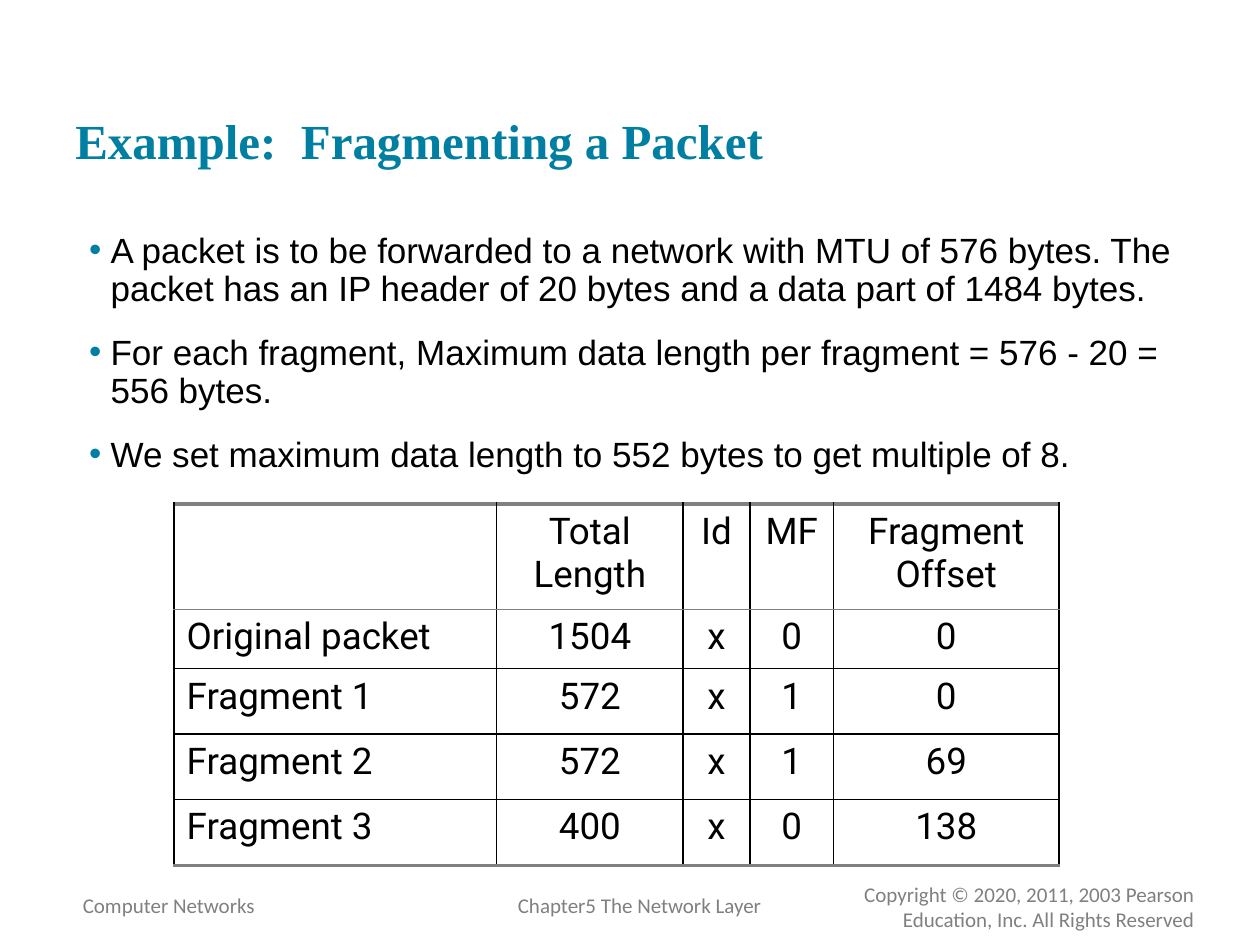
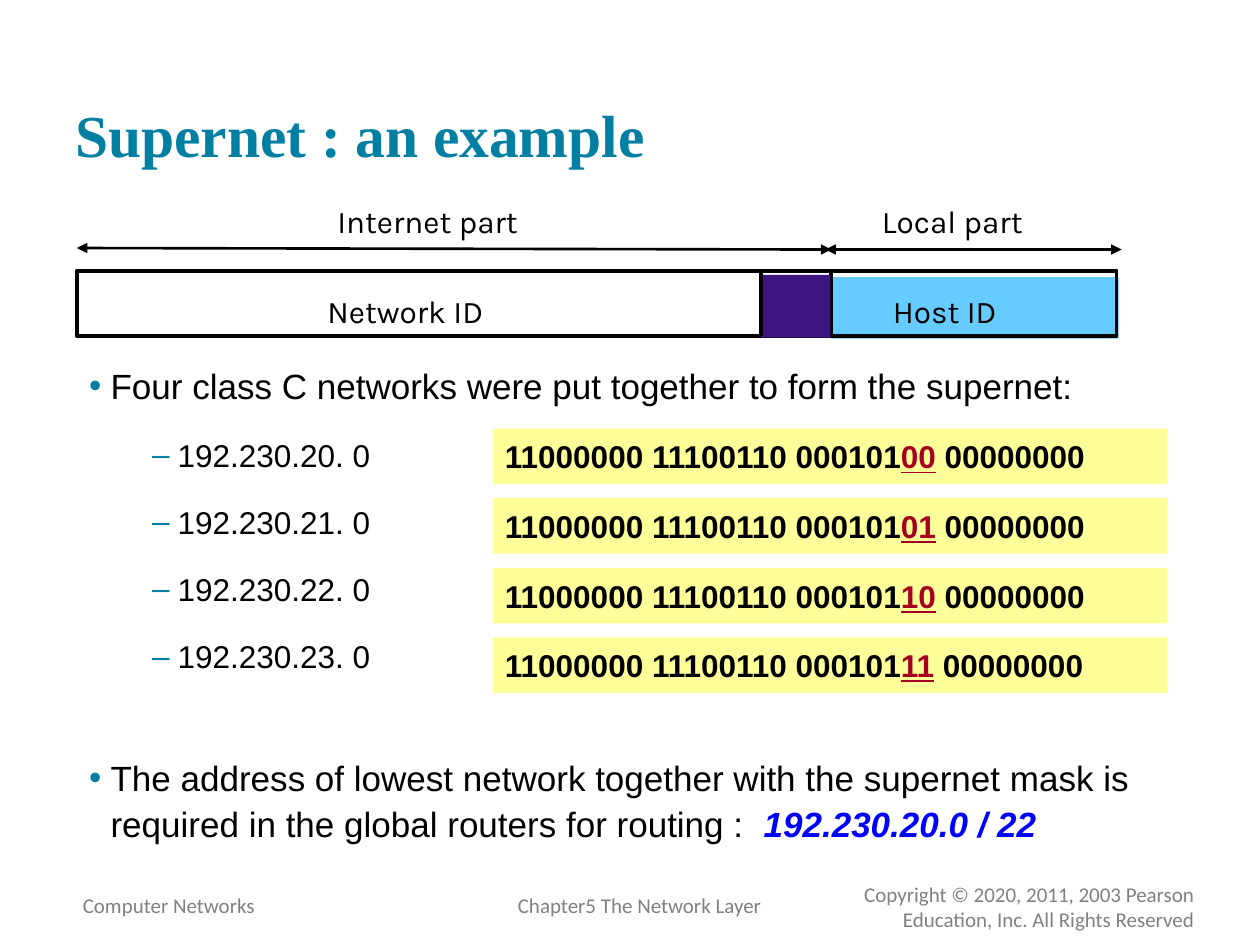
import dataclasses

import lxml.etree
import pptx
import pptx.dml.color
import pptx.enum.shapes
import pptx.enum.text
import pptx.oxml
import pptx.oxml.ns
import pptx.util

Cm = pptx.util.Cm
Pt = pptx.util.Pt
RGBColor = pptx.dml.color.RGBColor
ALIGN = pptx.enum.text.PP_ALIGN
ANCHOR = pptx.enum.text.MSO_ANCHOR
RECTANGLE = pptx.enum.shapes.MSO_SHAPE.RECTANGLE
STRAIGHT = pptx.enum.shapes.MSO_CONNECTOR.STRAIGHT
qn = pptx.oxml.ns.qn

TEAL = RGBColor(0x00, 0x7F, 0xA3)
BLACK = RGBColor(0x00, 0x00, 0x00)
GRAY = RGBColor(0x80, 0x80, 0x80)
BLUE = RGBColor(0x00, 0x00, 0xFF)
DARK_RED = RGBColor(0xA5, 0x00, 0x21)
YELLOW = RGBColor(0xFF, 0xFF, 0x99)
SKY = RGBColor(0x66, 0xCC, 0xFF)
PURPLE = RGBColor(0x3C, 0x15, 0x81)


@dataclasses.dataclass(frozen=True)
class Style:
    size: float
    font: str = "Arial"
    color: RGBColor = BLACK
    bold: bool = False
    italic: bool = False
    underline: bool = False


@dataclasses.dataclass(frozen=True)
class Bullet:
    symbol: str
    level: int
    margin: float
    indent: float
    space_before: float


TITLE = Style(28, "Times New Roman", TEAL, bold=True)
BODY = Style(20)
ADDRESS = Style(18)
ROUTE = Style(20, color=BLUE, bold=True, italic=True)
FOOTER = Style(12, "Calibri", GRAY)
CELL = Style(21, "Roboto")
LABEL = Style(18, "Karla")
BITS = Style(18, bold=True)
SUBNET_BITS = Style(18, color=DARK_RED, bold=True, underline=True)

POINT = Bullet("•", 0, 0.71, -0.43, 15)
DASH = Bullet("–", 1, 2.06, -0.51, 6)

# Boxes are (left, top, width, height) in centimetres.
TITLE_BOX = (1.27, 0.61, 22.86, 3.05)
FOOTERS = [
    ("Copyright © 2020, 2011, 2003 Pearson Education, Inc. All Rights Reserved",
     (16.28, 17.65, 8.05, 0.56), ALIGN.RIGHT, True),
    ("Computer Networks", (1.42, 17.86, 8.79, 0.76), ALIGN.LEFT, True),
    ("Chapter5 The Network Layer", (10.19, 17.86, 5.44, 0.76), ALIGN.LEFT, False),
]


def add_run(paragraph, text, style):
    run = paragraph.add_run()
    run.text = text
    font = run.font
    font.name, font.size = style.font, Pt(style.size)
    font.bold, font.italic, font.underline = style.bold, style.italic, style.underline
    font.color.rgb = style.color


def add_text_box(slide, box, inset=None, wrap=True):
    """Return the text frame of a new box; inset applies to all four sides."""
    frame = slide.shapes.add_textbox(*map(Cm, box)).text_frame
    frame.word_wrap = wrap
    if inset is not None:
        frame.margin_left = frame.margin_right = Cm(inset)
        frame.margin_top = frame.margin_bottom = Cm(inset)
    return frame


def add_label(slide, text, box, style, align=ALIGN.LEFT, wrap=True):
    paragraph = add_text_box(slide, box, wrap=wrap).paragraphs[0]
    paragraph.alignment = align
    add_run(paragraph, text, style)


def add_rectangle(slide, box, fill=None, line_width=None):
    shape = slide.shapes.add_shape(RECTANGLE, *map(Cm, box))
    shape.shadow.inherit = False
    if fill is None:
        shape.fill.background()
    else:
        shape.fill.solid()
        shape.fill.fore_color.rgb = fill
    if line_width is None:
        shape.line.fill.background()
    else:
        shape.line.color.rgb = BLACK
        shape.line.width = Pt(line_width)
    return shape


def add_line(slide, start, end, width, arrows=False):
    connector = slide.shapes.add_connector(STRAIGHT, *map(Cm, start + end))
    connector.line.color.rgb = BLACK
    connector.line.width = Pt(width)
    if arrows:
        line = connector.line._get_or_add_ln()
        for tag in ("a:headEnd", "a:tailEnd"):
            lxml.etree.SubElement(line, qn(tag), type="triangle")
    lxml.etree.SubElement(connector._element.spPr, qn("a:effectLst"))


def set_bullet(paragraph, bullet):
    paragraph.level = bullet.level
    properties = paragraph._p.get_or_add_pPr()
    properties.set("marL", str(Cm(bullet.margin)))
    properties.set("indent", str(Cm(bullet.indent)))
    color = lxml.etree.SubElement(properties, qn("a:buClr"))
    lxml.etree.SubElement(color, qn("a:srgbClr"), val=str(TEAL))
    lxml.etree.SubElement(properties, qn("a:buFont"), typeface="Arial")
    lxml.etree.SubElement(properties, qn("a:buChar"), char=bullet.symbol)


def add_bullets(slide, box, items):
    """Each item is (bullet, line spacing, space before or None, runs)."""
    frame = add_text_box(slide, box, inset=0.25)
    for index, (bullet, line_spacing, space_before, runs) in enumerate(items):
        paragraph = frame.add_paragraph() if index else frame.paragraphs[0]
        set_bullet(paragraph, bullet)
        paragraph.line_spacing = line_spacing
        if index:
            paragraph.space_before = Pt(space_before or bullet.space_before)
        for text, style in runs:
            add_run(paragraph, text, style)


def add_base_slide(presentation, title, title_style=TITLE):
    """Add a slide with the shared title and footers."""
    slide = presentation.slides.add_slide(presentation.slide_layouts[6])
    for text, box, align, wrap in FOOTERS:
        add_label(slide, text, box, FOOTER, align, wrap)
    frame = add_text_box(slide, TITLE_BOX, inset=0.25)
    frame.vertical_anchor = ANCHOR.BOTTOM
    add_run(frame.paragraphs[0], title, title_style)
    return slide


def set_borders(cell, top, bottom):
    properties = cell._tc.get_or_add_tcPr()
    side = (BLACK, 1)
    edges = (("a:lnL", side), ("a:lnR", side), ("a:lnT", top), ("a:lnB", bottom))
    for position, (tag, (color, width)) in enumerate(edges):
        line = properties.makeelement(qn(tag), {"w": str(Pt(width))})
        fill = lxml.etree.SubElement(line, qn("a:solidFill"))
        lxml.etree.SubElement(fill, qn("a:srgbClr"), val=str(color))
        properties.insert(position, line)


def add_fragment_table(slide, box):
    rows = [
        ("", "Total Length", "Id", "MF", "Fragment Offset"),
        ("Original packet", "1504", "x", "0", "0"),
        ("Fragment 1", "572", "x", "1", "0"),
        ("Fragment 2", "572", "x", "1", "69"),
        ("Fragment 3", "400", "x", "0", "138"),
    ]
    column_widths = (6.5, 3.76, 1.35, 1.68, 4.55)
    row_heights = (2.13, 1.19, 1.32, 1.32, 1.32)
    thick, thin, inner = (GRAY, 2), (GRAY, 1), (BLACK, 1)
    rules = [thick, thin, inner, inner, inner, thick]
    table = slide.shapes.add_table(
        len(rows), len(column_widths), *map(Cm, box)).table
    table.first_row = table.horz_banding = False
    for column, width in zip(table.columns, column_widths):
        column.width = Cm(width)
    for row_index, values in enumerate(rows):
        table.rows[row_index].height = Cm(row_heights[row_index])
        for column_index, value in enumerate(values):
            cell = table.cell(row_index, column_index)
            cell.fill.background()
            set_borders(cell, rules[row_index], rules[row_index + 1])
            if value:
                paragraph = cell.text_frame.paragraphs[0]
                paragraph.alignment = ALIGN.CENTER if column_index else ALIGN.LEFT
                add_run(paragraph, value, CELL)


def add_address_diagram(slide, box):
    """Bar split into network, supernet and host bits, spanned by two arrows."""
    left, top, width, height = box
    bar_height = 1.32
    bar_top = top + height - bar_height
    bottom = top + height
    supernet_left, host_left = left + 13.79, left + 15.21
    arrow_top = top + 1.09

    add_rectangle(slide, (host_left, bar_top + 0.13, 5.79, 1.24), SKY)
    add_rectangle(slide, (left, bar_top, width, bar_height), line_width=2.25)
    add_line(slide, (host_left, bar_top), (host_left, bottom), 2.25)
    add_line(slide, (host_left - 0.12, arrow_top), (left + 21.06, arrow_top), 1.5, True)
    add_line(slide, (left, arrow_top - 0.03), (host_left, arrow_top), 1.5, True)
    add_rectangle(slide, (supernet_left, bar_top + 0.08, 1.4, 1.27), PURPLE)
    add_line(slide, (supernet_left, bar_top), (supernet_left, bottom), 2.25)

    for text, x, y, label_width in (
        ("Internet part", 5, 0, 6.15),
        ("Local part", 15.98, 0, 6.48),
        ("Network ID", 4.8, 1.83, 5.41),
        ("Host ID", 16.2, 1.83, 4.39),
    ):
        add_label(slide, text, (left + x, top + y, label_width, 1.02), LABEL)


def add_binary_addresses(slide, box):
    left, top, width, height = box
    row_height = 1.12
    all_subnet_bits = ("00", "01", "10", "11")
    step = (height - row_height) / (len(all_subnet_bits) - 1)
    for index, subnet_bits in enumerate(all_subnet_bits):
        shape = add_rectangle(
            slide, (left, top + index * step, width, row_height), YELLOW)
        shape.text_frame.vertical_anchor = ANCHOR.MIDDLE
        paragraph = shape.text_frame.paragraphs[0]
        paragraph.alignment = ALIGN.LEFT
        add_run(paragraph, "11000000 11100110 000101", BITS)
        add_run(paragraph, subnet_bits, SUBNET_BITS)
        add_run(paragraph, " 00000000", BITS)


def build_fragmenting_slide(presentation):
    slide = add_base_slide(presentation, "Example:  Fragmenting a Packet")
    points = (
        "A packet is to be forwarded to a network with MTU of 576 bytes. "
        "The packet has an IP header of 20 bytes and a data part of 1484 bytes.",
        "For each fragment, Maximum data length per fragment = 576 - 20 = 556 bytes.",
        "We set maximum data length to 552 bytes to get multiple of 8.",
    )
    add_bullets(slide, (1.27, 4.45, 22.86, 12.57),
                [(POINT, 0.9, None, [(text, BODY)]) for text in points])
    add_fragment_table(slide, (3.51, 10.16, 17.84, 7.28))


def build_supernet_slide(presentation):
    slide = add_base_slide(presentation, "Supernet : an example",
                           dataclasses.replace(TITLE, size=34))
    intro = "Four class C networks were put together to form the supernet:"
    conclusion = ("The address of lowest network together with the supernet mask is "
                  "required in the global routers for routing :  ")
    add_bullets(slide, (1.27, 7.01, 22.86, 12.57), [
        (POINT, 1.1, None, [(intro, BODY)]),
        *[(DASH, 1.5, None, [(f"192.230.{number}. 0", ADDRESS)])
          for number in range(20, 24)],
        (POINT, 1.1, 44, [(conclusion, BODY), ("192.230.20.0 / 22", ROUTE)]),
    ])
    add_binary_addresses(slide, (9.93, 8.64, 13.6, 5.33))
    add_address_diagram(slide, (1.55, 3.94, 20.96, 2.84))


def main():
    presentation = pptx.Presentation()
    presentation.slide_width = Cm(25.4)
    presentation.slide_height = Cm(19.05)
    build_fragmenting_slide(presentation)
    build_supernet_slide(presentation)
    presentation.save("out.pptx")


if __name__ == "__main__":
    main()
